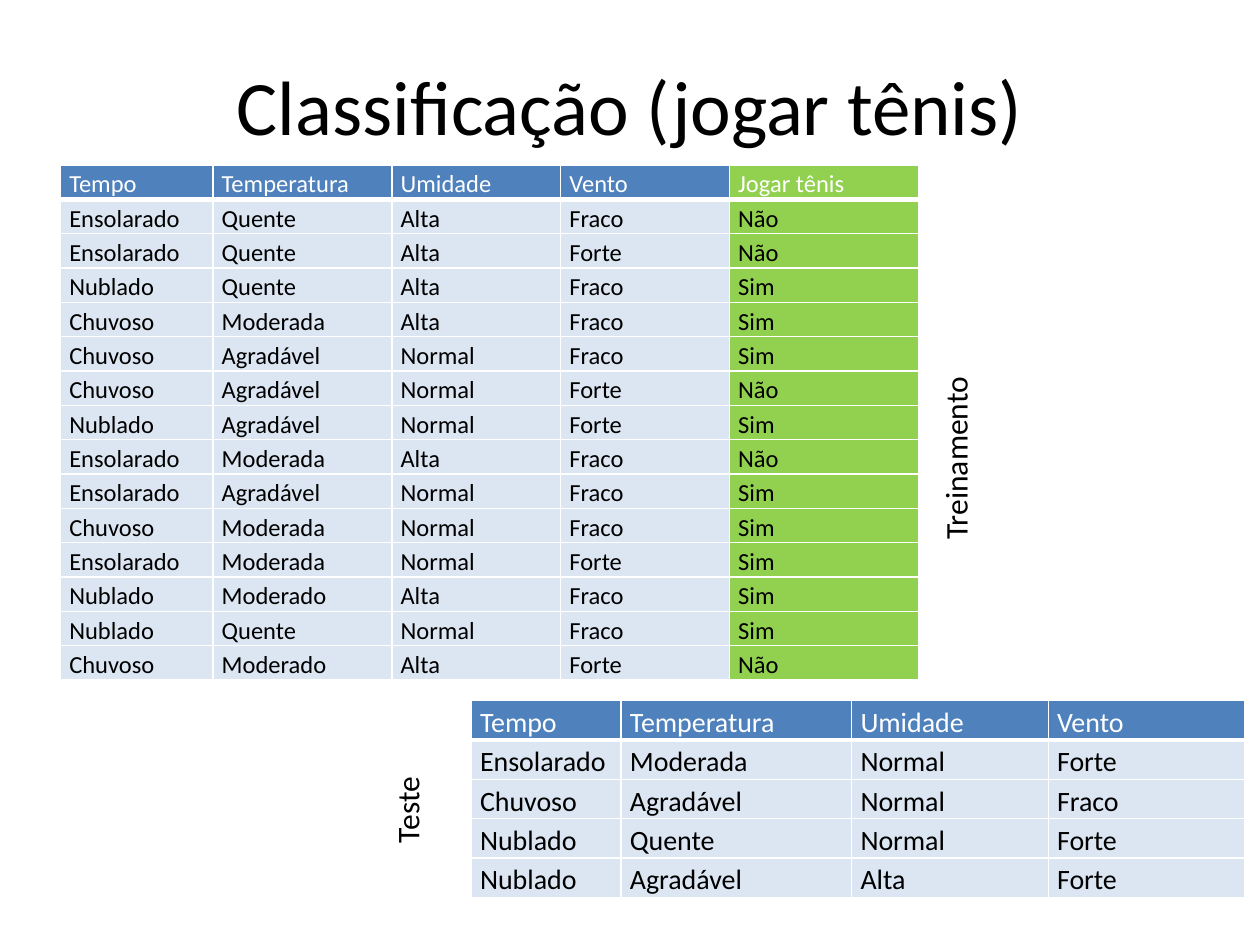
"""Build the tennis classification slide with its training and test tables."""
from lxml import etree
from pptx import Presentation
from pptx.dml.color import RGBColor
from pptx.enum.text import MSO_ANCHOR, MSO_AUTO_SIZE, PP_ALIGN
from pptx.oxml.ns import qn
from pptx.util import Inches, Pt

MIDDLE = MSO_ANCHOR.MIDDLE
CENTER = PP_ALIGN.CENTER
FIT_SHAPE = MSO_AUTO_SIZE.SHAPE_TO_FIT_TEXT
FONT = "Calibri"
WHITE, BLACK = "FFFFFF", "000000"
BLUE, PALE, GREEN = "4F81BD", "DCE6F2", "92D050"
TARGET = "Jogar tênis"

TRAINING = """Tempo,Temperatura,Umidade,Vento,Jogar tênis
Ensolarado,Quente,Alta,Fraco,Não
Ensolarado,Quente,Alta,Forte,Não
Nublado,Quente,Alta,Fraco,Sim
Chuvoso,Moderada,Alta,Fraco,Sim
Chuvoso,Agradável,Normal,Fraco,Sim
Chuvoso,Agradável,Normal,Forte,Não
Nublado,Agradável,Normal,Forte,Sim
Ensolarado,Moderada,Alta,Fraco,Não
Ensolarado,Agradável,Normal,Fraco,Sim
Chuvoso,Moderada,Normal,Fraco,Sim
Ensolarado,Moderada,Normal,Forte,Sim
Nublado,Moderado,Alta,Fraco,Sim
Nublado,Quente,Normal,Fraco,Sim
Chuvoso,Moderado,Alta,Forte,Não"""

TEST = """Tempo,Temperatura,Umidade,Vento
Ensolarado,Moderada,Normal,Forte
Chuvoso,Agradável,Normal,Fraco
Nublado,Quente,Normal,Forte
Nublado,Agradável,Alta,Forte"""

TABLES = [
    (TRAINING, 0.48, 1.31, [1.21, 1.42, 1.34, 1.34, 1.5], 0.27, 14),
    (TEST, 3.74, 5.56, [1.19, 1.83, 1.56, 1.56], 0.31, 16),
]
LABELS = [("Treinamento", 7.38, 2.73, 1.65), ("Teste", 3.03, 6.03, 0.76)]


def color(value):
    return RGBColor.from_string(value)


def write(para, text, size, ink):
    span = para.add_run()
    span.text = text
    span.font.name = FONT
    span.font.size = Pt(size)
    span.font.bold = False
    span.font.color.rgb = color(ink)


deck = Presentation()
deck.slide_width = Inches(10)
deck.slide_height = Inches(7.5)
page = deck.slides.add_slide(deck.slide_layouts[5])

title = page.shapes.title
title.left, title.top = Inches(0.5), Inches(0.21)
title.width, title.height = Inches(9), Inches(1.25)
title.text_frame.vertical_anchor = MIDDLE
heading = title.text_frame.paragraphs[0]
heading.alignment = CENTER
write(heading, "Classificação (jogar tênis)", 44, BLACK)

for source, left, top, widths, row_height, size in TABLES:
    records = [line.split(",") for line in source.splitlines()]
    frame = page.shapes.add_table(
        len(records), len(widths), Inches(left), Inches(top),
        Inches(sum(widths)), Inches(row_height * len(records)))
    table = frame.table
    table.horz_banding = False
    for column, width in zip(table.columns, widths):
        column.width = Inches(width)
    for row_index, record in enumerate(records):
        table.rows[row_index].height = Inches(row_height)
        is_header = row_index == 0
        for column_index, text in enumerate(record):
            cell = table.cell(row_index, column_index)
            cell.margin_left = cell.margin_right = Inches(0.07)
            cell.margin_top = cell.margin_bottom = 0
            properties = cell._tc.get_or_add_tcPr()
            for side in ("lnL", "lnR", "lnT", "lnB"):
                weight = 3 if is_header and side == "lnB" else 1
                border = etree.SubElement(properties, qn(f"a:{side}"), w=str(Pt(weight)))
                paint = etree.SubElement(border, qn("a:solidFill"))
                etree.SubElement(paint, qn("a:srgbClr"), val=WHITE)
            base = BLUE if is_header else PALE
            cell.fill.solid()
            cell.fill.fore_color.rgb = color(GREEN if records[0][column_index] == TARGET else base)
            para = cell.text_frame.paragraphs[0]
            para.line_spacing = 1.15
            write(para, text, size, WHITE if is_header else BLACK)

for text, left, top, height in LABELS:
    box = page.shapes.add_textbox(Inches(left), Inches(top), Inches(0.5), Inches(height))
    box.text_frame.word_wrap = False
    box.text_frame.auto_size = FIT_SHAPE
    box.text_frame._txBody.bodyPr.set("vert", "vert270")
    write(box.text_frame.paragraphs[0], text, 18, BLACK)

deck.save("out.pptx")
